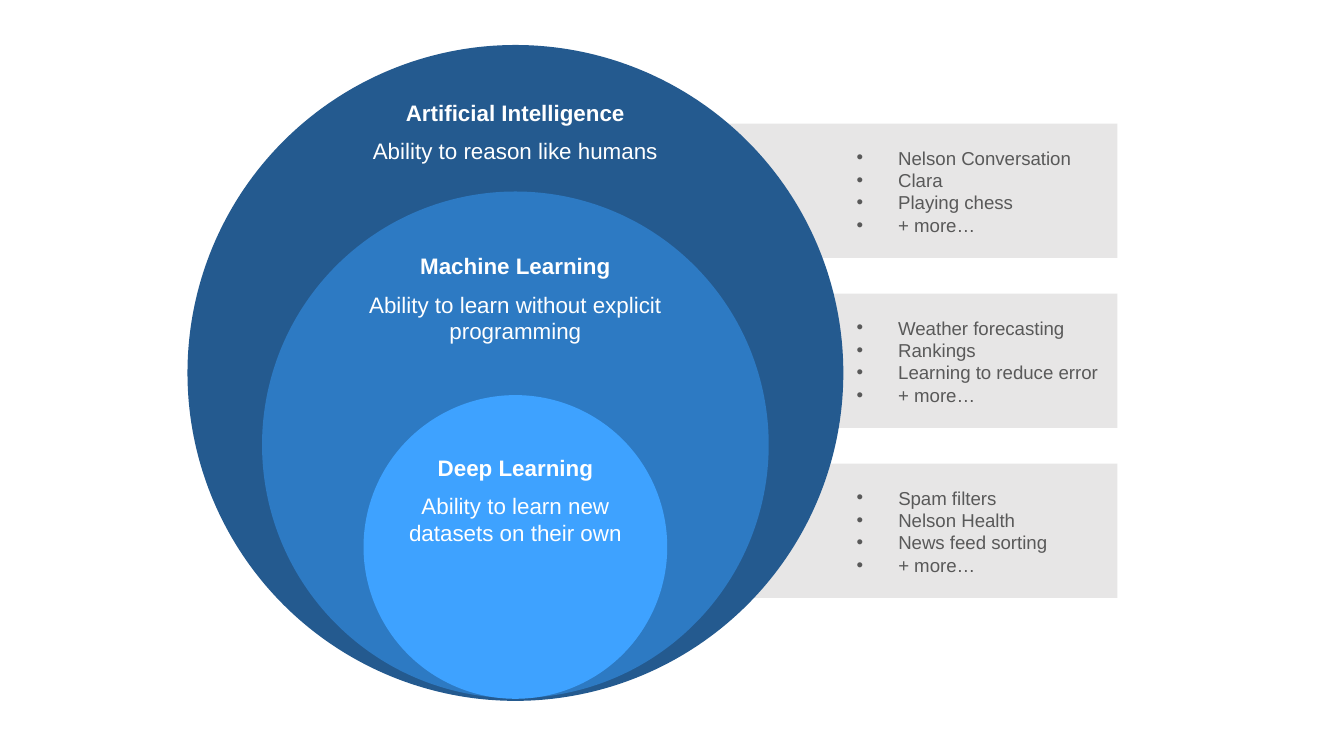
from dataclasses import dataclass

from lxml import etree
from pptx import Presentation
from pptx import util as u
from pptx.dml.color import RGBColor
from pptx.enum import shapes, text
from pptx.oxml.ns import qn

PX = 4572  # 200 px to the inch
MID = 767  # centre line of the circles
INDENT = 62
FONT = "Arial"
HUES = {
    "bar": "E7E6E6",
    "outer": "245A8F",
    "middle": "2D7AC3",
    "inner": "3EA2FF",
    "light": "FFFFFF",
    "dark": "595959",
}


@dataclass
class Box:
    left: int
    top: int
    width: int
    height: int

    def emu(self) -> list[u.Emu]:
        return [u.Emu(n * PX) for n in (self.left, self.top, self.width, self.height)]


@dataclass
class Ring:
    hue: str
    top: int
    size: int
    title: str
    note: str
    label: Box


@dataclass
class Panel:
    width: int
    items: list[str]


RINGS = [
    Ring("outer", 67, 976, "Artificial Intelligence",
         "Ability to reason like humans", Box(510, 138, 514, 118)),
    Ring("middle", 285, 754, "Machine Learning",
         "Ability to learn without explicit programming", Box(519, 366, 496, 158)),
    Ring("inner", 588, 452, "Deep Learning",
         "Ability to learn new datasets on their own", Box(558, 666, 418, 158)),
]
PANELS = [
    Panel(368, ["Nelson Conversation", "Clara", "Playing chess", "+ more…"]),
    Panel(408, ["Weather forecasting", "Rankings", "Learning to reduce error", "+ more…"]),
    Panel(330, ["Spam filters", "Nelson Health", "News feed sorting", "+ more…"]),
]


def draw(slide, kind: shapes.MSO_SHAPE, box: Box, hue: str) -> None:
    form = slide.shapes.add_shape(kind, *box.emu())
    form.shadow.inherit = False
    form.fill.solid()
    form.fill.fore_color.rgb = RGBColor.from_string(HUES[hue])
    form.line.fill.background()


def bullet(para) -> None:
    props = para._p.get_or_add_pPr()
    props.set("marL", str(INDENT * PX))
    props.set("indent", str(-INDENT * PX))
    etree.SubElement(props, qn("a:buFont")).set("typeface", FONT)
    etree.SubElement(props, qn("a:buChar")).set("char", "•")


def write(slide, box: Box, lines: list[str], *, size: int, hue: str,
          align: text.PP_ALIGN = text.PP_ALIGN.LEFT, head: bool = False,
          gap: int = 0, dots: bool = False) -> None:
    """Add a text box; head makes the first line bold, gap is points between lines."""
    frame = slide.shapes.add_textbox(*box.emu()).text_frame
    frame.word_wrap = True
    for i, line in enumerate(lines):
        para = frame.add_paragraph() if i else frame.paragraphs[0]
        if dots:
            bullet(para)
        para.alignment = align
        if i and gap:
            para.space_before = u.Pt(gap)
        run = para.add_run()
        run.text = line
        font = run.font
        font.name = FONT
        font.size = u.Pt(size)
        font.bold = head and i == 0
        font.color.rgb = RGBColor.from_string(HUES[hue])


def main() -> None:
    deck = Presentation()
    deck.slide_width, deck.slide_height = u.Emu(2000 * PX), u.Emu(1125 * PX)
    slide = deck.slides.add_slide(deck.slide_layouts[6])

    for i, panel in enumerate(PANELS):
        top = 184 + i * 253
        draw(slide, shapes.MSO_SHAPE.RECTANGLE, Box(977, top, 686, 200), "bar")
        write(slide, Box(1255, top + 24, panel.width, 154), panel.items,
              size=10, hue="dark", dots=True)

    for ring in RINGS:
        draw(slide, shapes.MSO_SHAPE.OVAL,
             Box(MID - ring.size // 2, ring.top, ring.size, ring.size), ring.hue)
    for ring in RINGS:
        write(slide, ring.label, [ring.title, ring.note], size=12, hue="light",
              align=text.PP_ALIGN.CENTER, head=True, gap=6)

    deck.save("out.pptx")


if __name__ == "__main__":
    main()
